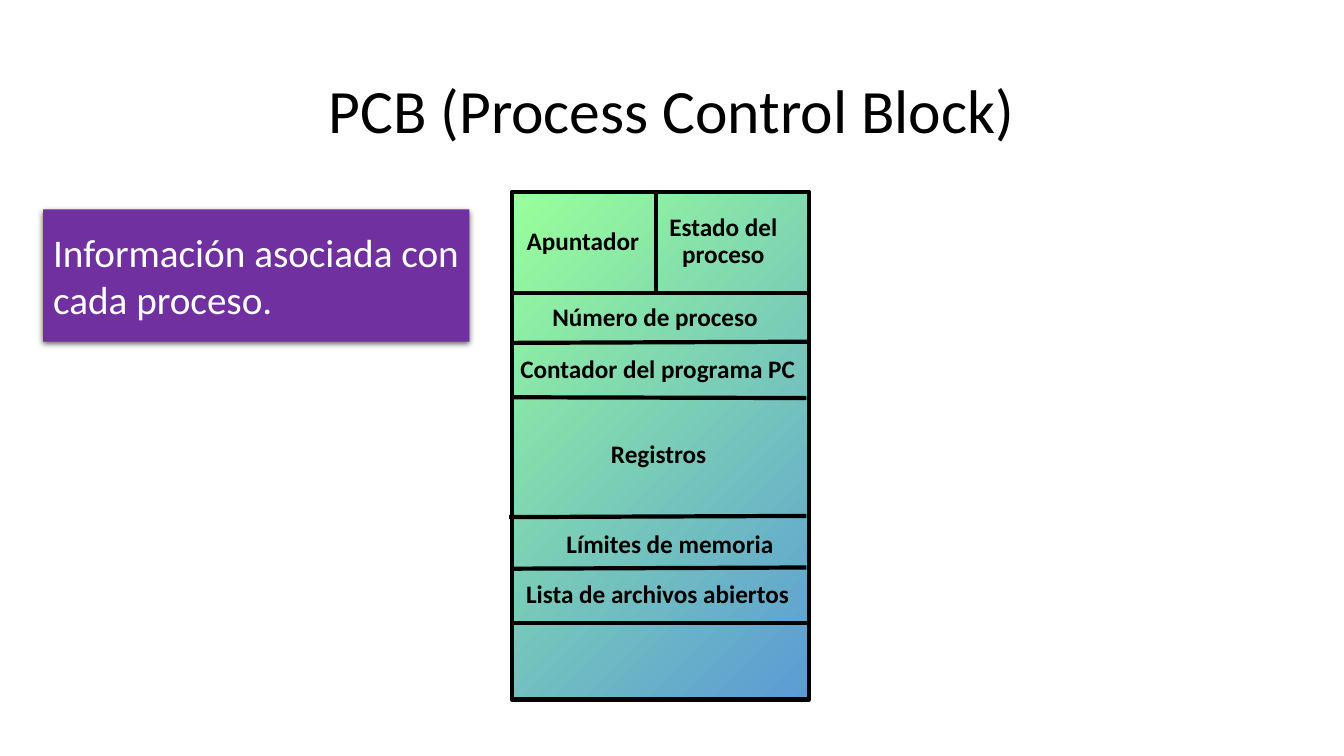
from dataclasses import dataclass

from lxml import etree
from pptx import Presentation
from pptx.dml.color import RGBColor
from pptx.enum.shapes import MSO_CONNECTOR, MSO_SHAPE
from pptx.enum.text import MSO_ANCHOR, MSO_AUTO_SIZE, PP_ALIGN
from pptx.oxml.ns import qn
from pptx.shapes.autoshape import Shape
from pptx.slide import Slide
from pptx.util import Cm, Pt

RECTANGLE = MSO_SHAPE.RECTANGLE
STRAIGHT = MSO_CONNECTOR.STRAIGHT
MIDDLE = MSO_ANCHOR.MIDDLE
GROW = MSO_AUTO_SIZE.SHAPE_TO_FIT_TEXT
CENTER = PP_ALIGN.CENTER
LEFT = PP_ALIGN.LEFT

FONT = "Calibri"
BORDER = Pt(3)
COLORS = {
    "ink": "000000",
    "paper": "FFFFFF",
    "note": "7030A0",
    "block_start": "99FF99",
    "block_end": "5B9BD5",
}


@dataclass(frozen=True)
class Box:
    left: float
    top: float
    width: float
    height: float

    def lengths(self) -> tuple[Cm, Cm, Cm, Cm]:
        return Cm(self.left), Cm(self.top), Cm(self.width), Cm(self.height)


@dataclass(frozen=True)
class Divider:
    x1: float
    y1: float
    x2: float
    y2: float


@dataclass(frozen=True)
class Field:
    text: str
    box: Box
    wrap: bool = False


LABEL_HEIGHT = 0.94
TITLE = Box(2.33, 1.02, 29.21, 3.68)
BLOCK = Box(12.9, 4.83, 7.49, 12.8)
NOTE = Box(1.09, 5.28, 10.74, 3.33)

DIVIDERS = [
    Divider(20.4, 7.39, 12.88, 7.39),
    Divider(20.4, 8.61, 12.9, 8.64),
    Divider(20.32, 10.03, 12.9, 10.01),
    Divider(20.32, 13, 12.83, 13.03),
    Divider(20.32, 14.3, 12.9, 14.33),
    Divider(20.37, 15.7, 12.9, 15.7),
    Divider(16.54, 4.8, 16.54, 7.42),
]

FIELDS = [
    Field("Apuntador", Box(13, 5.64, 3.38, LABEL_HEIGHT)),
    Field("Estado del proceso", Box(15.88, 5.28, 4.7, 1.63), wrap=True),
    Field("Número de proceso", Box(13.64, 7.54, 5.74, LABEL_HEIGHT)),
    Field("Contador del programa PC", Box(12.83, 8.86, 7.49, LABEL_HEIGHT)),
    Field("Registros", Box(15.14, 11, 2.92, LABEL_HEIGHT)),
    Field("Límites de memoria", Box(14, 13.26, 5.77, LABEL_HEIGHT)),
    Field("Lista de archivos abiertos", Box(12.98, 14.53, 7.19, LABEL_HEIGHT)),
]


def rgb(name: str) -> RGBColor:
    return RGBColor.from_string(COLORS[name])


def write(shape: Shape, text: str, *, size: int, color: str = "ink", bold: bool = False,
          align: PP_ALIGN = CENTER, spacing: float = 0.9, wrap: bool = True) -> None:
    frame = shape.text_frame
    frame.word_wrap = wrap
    frame.vertical_anchor = MIDDLE
    paragraph = frame.paragraphs[0]
    paragraph.alignment = align
    paragraph.line_spacing = spacing
    run = paragraph.add_run()
    run.text = text
    run.font.name = FONT
    run.font.size = Pt(size)
    run.font.bold = bold
    run.font.color.rgb = rgb(color)


def add_shadow(shape: Shape) -> None:
    effects = shape._element.spPr.find(qn("a:effectLst"))
    shadow = etree.SubElement(effects, qn("a:outerShdw"), blurRad=str(Pt(4.5)),
                              dist=str(Pt(1.5)), dir="5400000", rotWithShape="0")
    tint = etree.SubElement(shadow, qn("a:srgbClr"), val=COLORS["ink"])
    etree.SubElement(tint, qn("a:alpha"), val="63000")


def add_block(slide: Slide) -> None:
    block = slide.shapes.add_shape(RECTANGLE, *BLOCK.lengths())
    block.shadow.inherit = False
    block.fill.gradient()
    block.fill.gradient_angle = 315
    for stop, color in zip(block.fill.gradient_stops, ("block_start", "block_end")):
        stop.color.rgb = rgb(color)
    block.line.color.rgb = rgb("ink")
    block.line.width = BORDER


def add_divider(slide: Slide, divider: Divider) -> None:
    line = slide.shapes.add_connector(STRAIGHT, Cm(divider.x1), Cm(divider.y1),
                                      Cm(divider.x2), Cm(divider.y2))
    line.line.color.rgb = rgb("ink")
    line.line.width = BORDER
    etree.SubElement(line._element.spPr, qn("a:effectLst"))


def add_field(slide: Slide, field: Field) -> None:
    label = slide.shapes.add_textbox(*field.box.lengths())
    write(label, field.text, size=18, bold=True, wrap=field.wrap)
    label.text_frame.auto_size = GROW


def add_note(slide: Slide) -> None:
    note = slide.shapes.add_shape(RECTANGLE, *NOTE.lengths())
    note.shadow.inherit = False
    note.fill.solid()
    note.fill.fore_color.rgb = rgb("note")
    note.line.fill.background()
    add_shadow(note)
    write(note, "Información asociada con cada proceso.", size=28, color="paper",
          align=LEFT, spacing=1.0)


def main() -> None:
    deck = Presentation()
    deck.slide_width = Cm(33.87)
    deck.slide_height = Cm(19.05)
    slide = deck.slides.add_slide(deck.slide_layouts[6])

    title = slide.shapes.add_textbox(*TITLE.lengths())
    write(title, "PCB (Process Control Block)", size=44)
    add_block(slide)
    for divider in DIVIDERS:
        add_divider(slide, divider)
    for field in FIELDS:
        add_field(slide, field)
    add_note(slide)

    deck.save("out.pptx")


if __name__ == "__main__":
    main()
